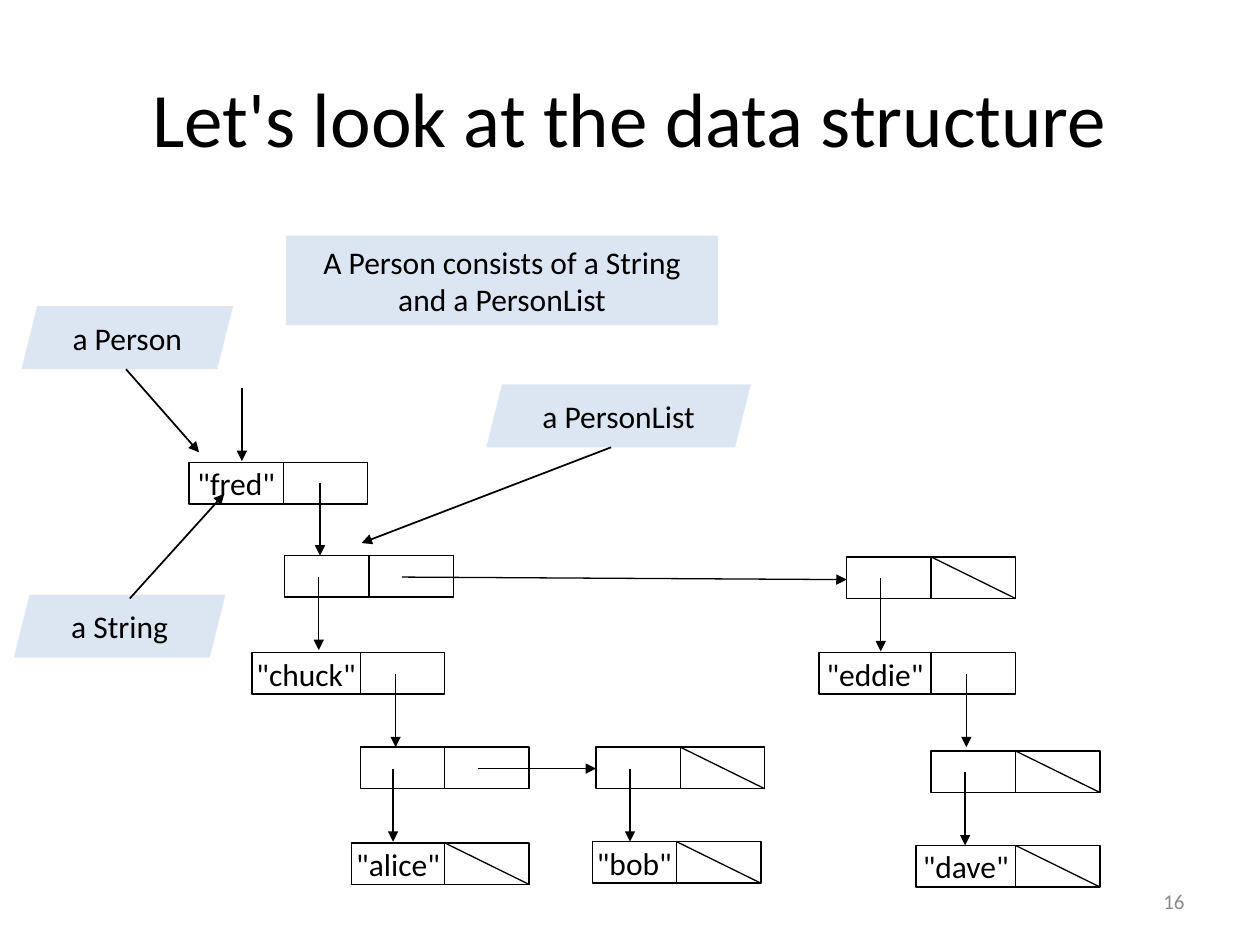
"""Build a slide that draws a family tree as linked Person and PersonList cells."""
from lxml import etree
from pptx import Presentation
from pptx.dml.color import RGBColor
from pptx.enum.shapes import MSO_CONNECTOR as CONN, MSO_SHAPE as SHAPE
from pptx.enum.text import MSO_ANCHOR as ANCHOR, PP_ALIGN as ALIGN
from pptx.oxml.ns import qn
from pptx.util import Inches, Pt

COLORS = {"ink": "000000", "label": "DCE6F2", "number": "8C8C8C"}
FONT = "Calibri"
CELL_W, CELL_H = 0.67, 0.33

TITLE = "Let's look at the data structure"
NUMBER = "16"
NOTE = "A Person consists of a String and a PersonList"

# left, top, width of first cell, name, whether the list ends here
NODES = [
    (1.5, 3.67, 0.75, '"fred"', False),
    (2.26, 4.41, CELL_W, "", False),
    (6.72, 4.42, CELL_W, "", True),
    (2, 5.18, 0.86, '"chuck"', False),
    (6.5, 5.18, 0.89, '"eddie"', False),
    (2.86, 5.93, CELL_W, "", False),
    (4.73, 5.93, CELL_W, "", True),
    (7.39, 5.96, CELL_W, "", True),
    (2.79, 6.69, 0.74, '"alice"', True),
    (4.7, 6.68, CELL_W, '"bob"', True),
    (7.27, 6.71, 0.79, '"dave"', True),
]
DOWN_ARROWS = [
    (1.92, 3.08), (2.54, 3.83), (2.53, 4.58), (6.99, 4.59), (3.14, 5.35),
    (7.67, 5.35), (3.12, 6.1), (5, 6.1), (7.66, 6.13),
]
DROP = 0.58
NEXT_ARROWS = [(3.19, 4.58, 6.72, 4.6), (3.79, 6.1, 4.73, 6.1)]
LABELS = [
    ("a Person", 0.17, 2.43, 1.68, (1, 2.93, 1.58, 3.59)),
    ("a String", 0.11, 4.72, 1.68, (1.03, 4.75, 1.78, 3.92)),
    ("a PersonList", 3.86, 3.05, 2.1, (4.85, 3.55, 2.87, 4.31)),
]


def color(name):
    return RGBColor.from_string(COLORS[name])


def write(sp, text, size=18, ink="ink", align=ALIGN.CENTER, wrap=True):
    tf = sp.text_frame
    tf.text = text
    tf.word_wrap = wrap
    tf.vertical_anchor = ANCHOR.MIDDLE
    p = tf.paragraphs[0]
    p.alignment = align
    font = p.runs[0].font
    font.name, font.size = FONT, Pt(size)
    font.color.rgb = color(ink)


def add_text(slide, box, text, **style):
    write(slide.shapes.add_textbox(*map(Inches, box)), text, **style)


def add_box(slide, box, text="", kind=SHAPE.RECTANGLE, fill=None, wrap=True):
    sp = slide.shapes.add_shape(kind, *map(Inches, box))
    sp.shadow.inherit = False
    if fill:
        sp.fill.solid()
        sp.fill.fore_color.rgb = color(fill)
        sp.line.fill.background()
    else:
        sp.fill.background()
        sp.line.color.rgb = color("ink")
        sp.line.width = Pt(0.75)
    if text:
        write(sp, text, wrap=wrap)


def add_line(slide, ends, width=0.75, arrow=True):
    line = slide.shapes.add_connector(CONN.STRAIGHT, *map(Inches, ends))
    line.line.color.rgb = color("ink")
    line.line.width = Pt(width)
    props = line.element.spPr
    if arrow:
        etree.SubElement(props.find(qn("a:ln")), qn("a:tailEnd"), type="triangle")
    etree.SubElement(props, qn("a:effectLst"))


def add_node(slide, x, y, width, name, is_end):
    split = x + width
    add_box(slide, (x, y, width, CELL_H), name, wrap=False)
    add_box(slide, (split, y, CELL_W, CELL_H))
    if is_end:
        add_line(slide, (split, y, split + CELL_W, y + CELL_H), arrow=False)


def main():
    prs = Presentation()
    prs.slide_width, prs.slide_height = Inches(10), Inches(7.5)
    slide = prs.slides.add_slide(prs.slide_layouts[6])

    add_text(slide, (0.5, 0.3, 9, 1.25), TITLE, size=44)
    add_text(slide, (7.17, 6.95, 2.33, 0.4), NUMBER, size=12, ink="number",
             align=ALIGN.RIGHT)
    for node in NODES:
        add_node(slide, *node)
    for x, y in DOWN_ARROWS:
        add_line(slide, (x, y, x, y + DROP))
    for ends in NEXT_ARROWS:
        add_line(slide, ends)
    for text, x, y, width, ends in LABELS:
        add_box(slide, (x, y, width, 0.5), text, SHAPE.PARALLELOGRAM, "label")
        add_line(slide, ends, width=1)
    add_box(slide, (2.27, 1.87, 3.43, 0.71), NOTE, fill="label")
    prs.save("out.pptx")


if __name__ == "__main__":
    main()
